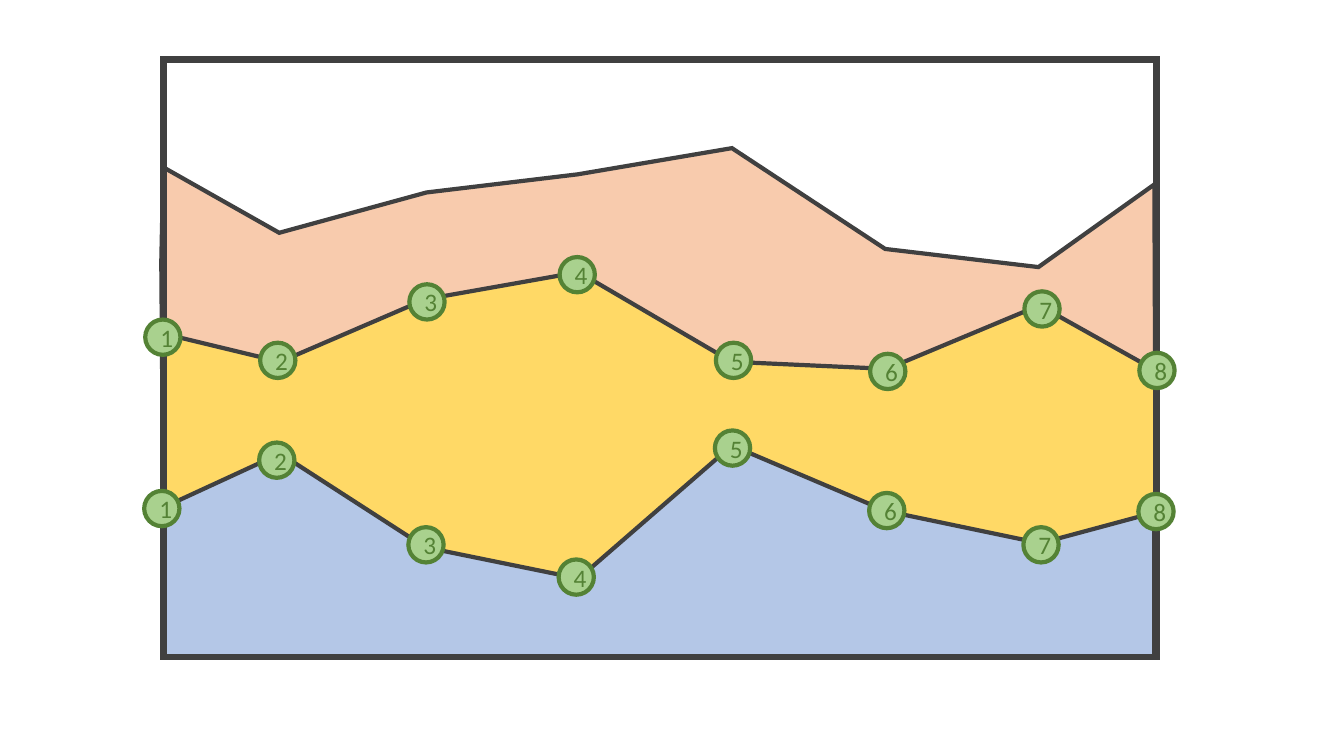
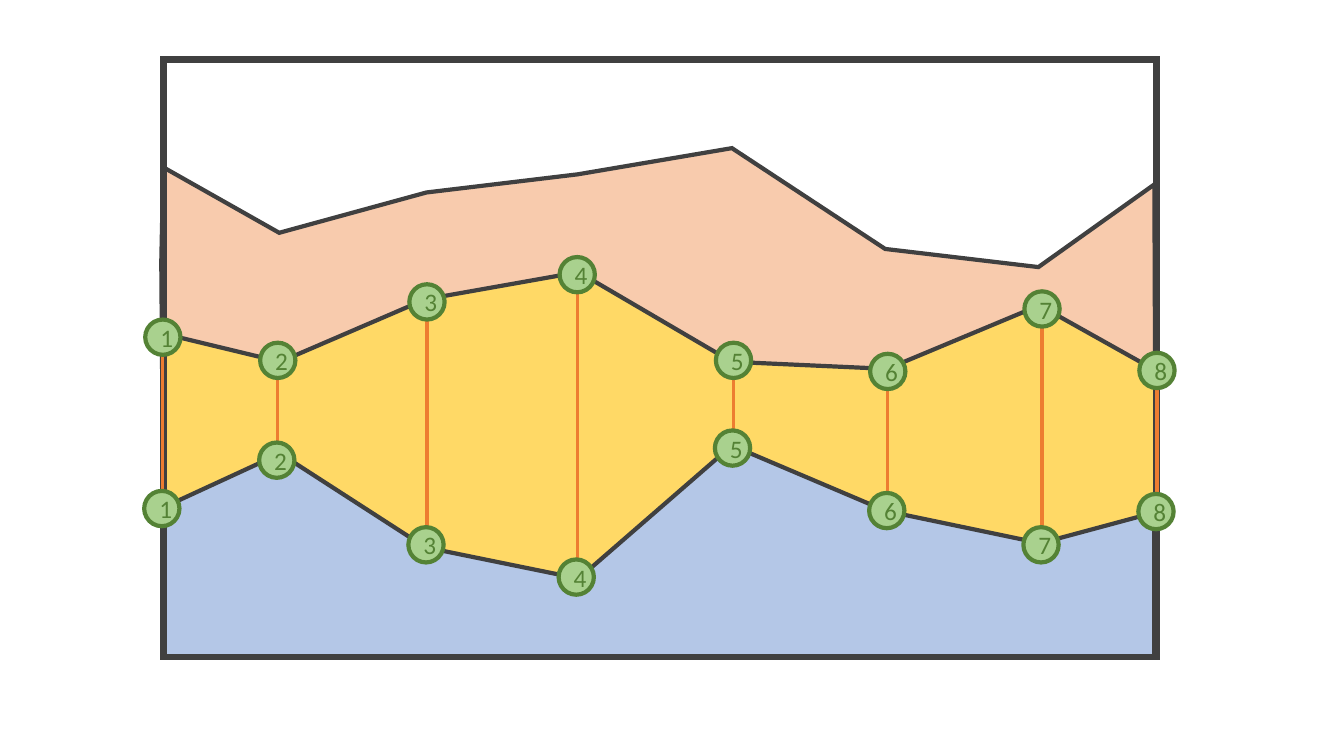
"""Builds two slides that number and pair the points of two layer boundaries."""
from lxml import etree
from pptx import Presentation
from pptx.dml.color import RGBColor
from pptx.enum.shapes import MSO_CONNECTOR, MSO_SHAPE
from pptx.enum.text import MSO_ANCHOR, PP_ALIGN
from pptx.oxml.ns import qn
from pptx.util import Inches, Pt

RECT, OVAL = MSO_SHAPE.RECTANGLE, MSO_SHAPE.OVAL
STRAIGHT = MSO_CONNECTOR.STRAIGHT
MIDDLE, CENTER = MSO_ANCHOR.MIDDLE, PP_ALIGN.CENTER

COLORS = {
    "white": "FFFFFF", "outline": "404040", "blue": "B4C7E7",
    "peach": "F8CBAD", "yellow": "FFD966", "marker": "A9D18E",
    "marker_edge": "548235", "pair": "ED7D31",
}
FONT = "Calibri"
MARKER_SIZE = 0.35
FRAME = (1.62, 0.59, 9.85, 5.93)
LOWER_LAYER = (1.62, 4.16, 9.84, 2.36)
UPPER_LAYER = [
    (1.62, 1.66), (2.77, 2.31), (4.23, 1.91), (5.73, 1.73), (7.26, 1.47),
    (8.78, 2.47), (10.3, 2.65), (11.45, 1.83), (11.46, 4.44), (1.61, 3.88),
    (1.6, 2.6),
]
MIDDLE_LAYER = [
    (1.62, 3.31), (2.78, 3.59), (4.22, 2.97), (5.74, 2.7), (7.26, 3.59),
    (8.8, 3.66), (10.31, 3.03), (11.47, 3.68), (11.47, 5.08), (10.32, 5.39),
    (8.79, 5.07), (7.26, 4.42), (5.74, 5.74), (4.22, 5.43), (2.78, 4.5),
    (1.61, 5.04),
]
MARKERS = [
    (1.44, 3.17, 4.87), (2.58, 3.4, 4.39), (4.06, 2.82, 5.23),
    (5.55, 2.55, 5.55), (7.1, 3.4, 4.27), (8.63, 3.51, 4.89),
    (10.16, 2.89, 5.23), (11.3, 3.5, 4.9),
]
LOWER_SHIFT = -0.01


def rgb(name):
    return RGBColor.from_string(COLORS[name])


class Deck:
    def __init__(self, prs):
        self.prs = prs
        self.slide = None

    def new_slide(self):
        self.slide = self.prs.slides.add_slide(self.prs.slide_layouts[6])

    def style(self, sp, fill, line, width):
        sp.shadow.inherit = False
        if fill:
            sp.fill.solid()
            sp.fill.fore_color.rgb = rgb(fill)
        else:
            sp.fill.background()
        sp.line.color.rgb = rgb(line)
        sp.line.width = Pt(width)
        ln = sp._element.spPr.find(qn("a:ln"))
        etree.SubElement(ln, qn("a:miter")).set("lim", "800000")

    def box(self, bounds, fill=None):
        sp = self.slide.shapes.add_shape(RECT, *map(Inches, bounds))
        self.style(sp, fill, "outline", 4.5)

    def layer(self, points, fill):
        pts = [(Inches(x), Inches(y)) for x, y in points]
        builder = self.slide.shapes.build_freeform(*pts[0])
        builder.add_line_segments(pts[1:], close=True)
        self.style(builder.convert_to_shape(), fill, "outline", 3)

    def pair_line(self, x, top, bottom):
        cx = self.slide.shapes.add_connector(
            STRAIGHT, Inches(x), Inches(top), Inches(x), Inches(bottom))
        cx.line.color.rgb = rgb("pair")
        cx.line.width = Pt(2.25)
        etree.SubElement(cx._element.spPr, qn("a:effectLst"))

    def marker(self, x, y, label):
        size = Inches(MARKER_SIZE)
        sp = self.slide.shapes.add_shape(OVAL, Inches(x), Inches(y), size, size)
        self.style(sp, "marker", "marker_edge", 3)
        tf = sp.text_frame
        tf.vertical_anchor = MIDDLE
        p = tf.paragraphs[0]
        p.alignment = CENTER
        r = p.add_run()
        r.text = label
        r.font.name = FONT
        r.font.size = Pt(18)
        r.font.color.rgb = rgb("marker_edge")

    def layers_slide(self, paired):
        self.new_slide()
        self.box(FRAME, "white")
        self.box(LOWER_LAYER, "blue")
        self.layer(UPPER_LAYER, "peach")
        self.layer(MIDDLE_LAYER, "yellow")
        self.box(FRAME)
        if paired:
            half = MARKER_SIZE / 2
            for x, upper, lower in MARKERS:
                self.pair_line(x + half, upper + half, lower + half)
        for number, (x, upper, lower) in enumerate(MARKERS, 1):
            self.marker(x, upper, str(number))
            self.marker(x + LOWER_SHIFT, lower, str(number))


def main():
    prs = Presentation()
    prs.slide_width, prs.slide_height = Inches(13.33), Inches(7.5)
    deck = Deck(prs)
    for paired in (False, True):
        deck.layers_slide(paired)
    prs.save("out.pptx")


if __name__ == "__main__":
    main()
